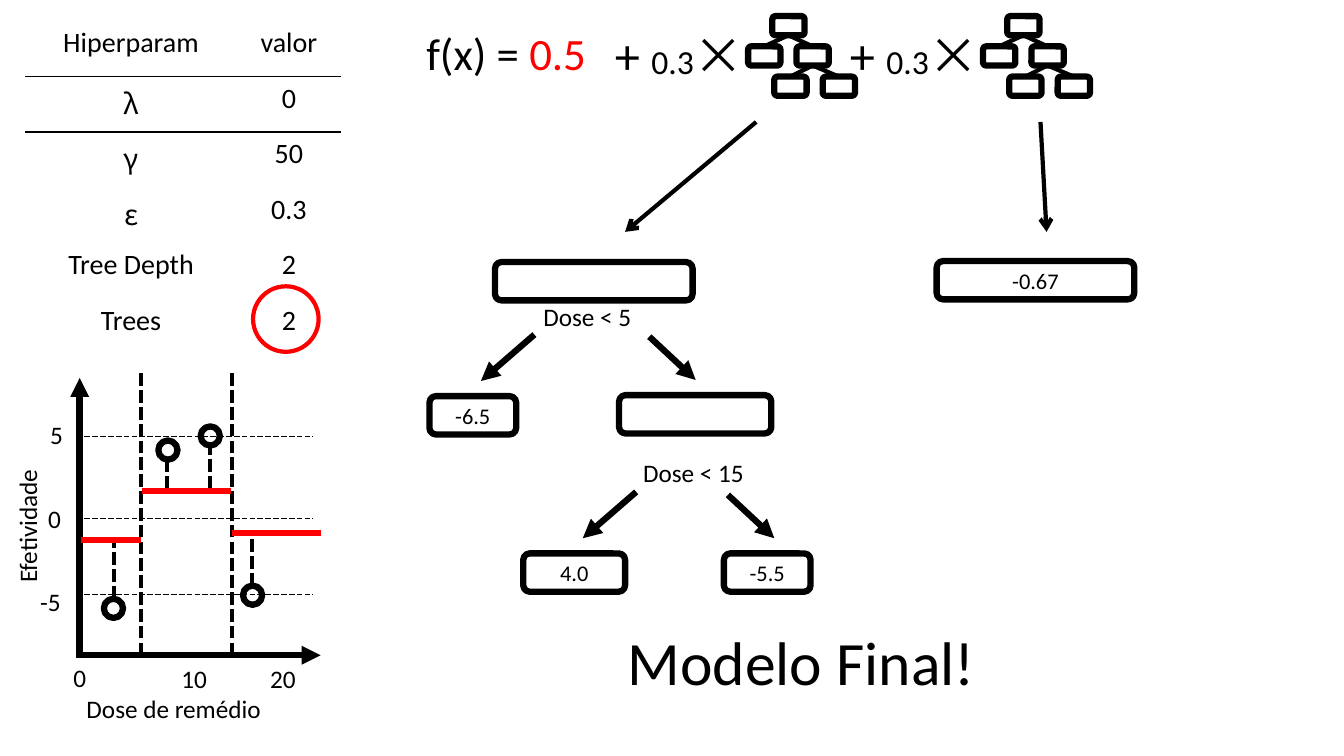
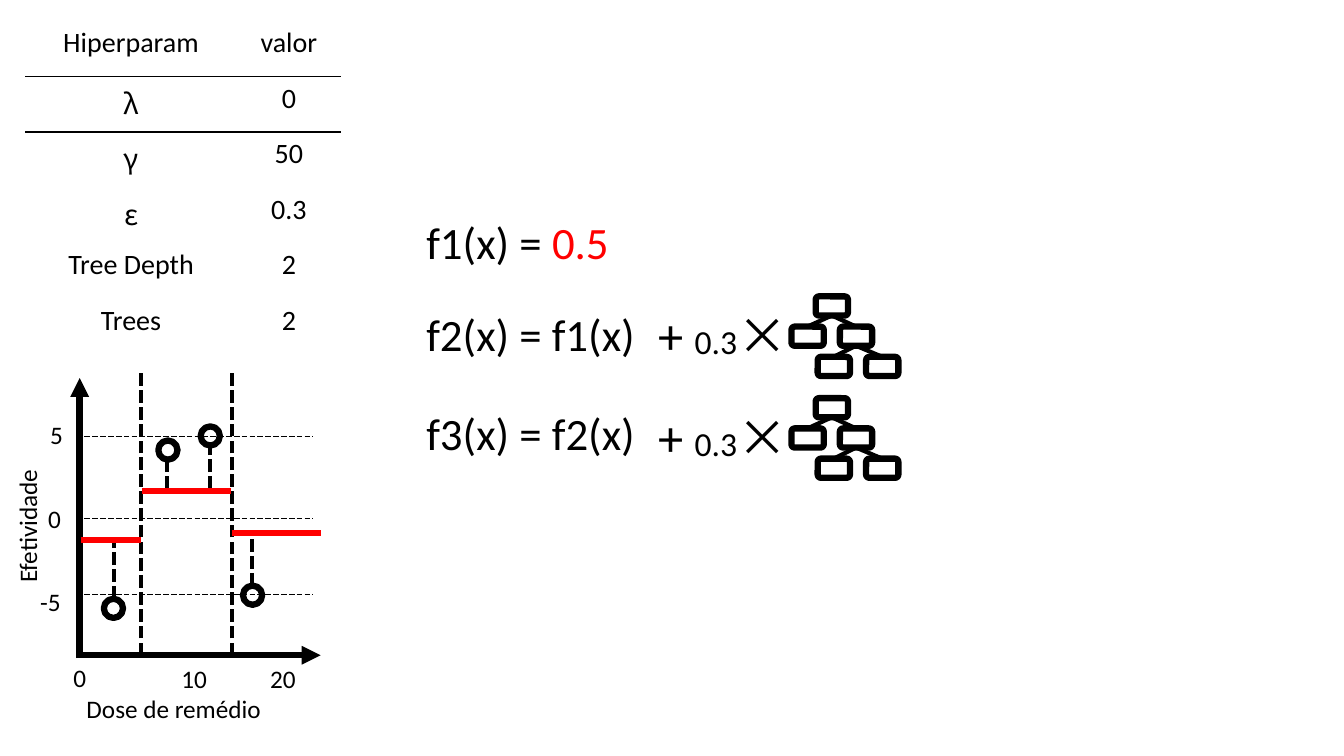
from dataclasses import dataclass

from lxml.etree import SubElement
from pptx import Presentation
from pptx.dml.color import RGBColor
from pptx.enum.dml import MSO_LINE as Dash
from pptx.enum.shapes import MSO_CONNECTOR as Connector, MSO_SHAPE as Preset
from pptx.enum.text import MSO_ANCHOR as Anchor, MSO_AUTO_SIZE as AutoSize, PP_ALIGN as Align
from pptx.oxml.ns import qn
from pptx.util import Inches, Pt


@dataclass(frozen=True)
class Theme:
    """Colours, fonts, type sizes and line widths shared by the slides."""
    ink: RGBColor = RGBColor(0, 0, 0)
    accent: RGBColor = RGBColor(255, 0, 0)
    paper: RGBColor = RGBColor(255, 255, 255)
    font: str = "Calibri"
    symbol_font: str = "Noto Sans CJK SC"
    headline: int = 44
    operator: int = 36
    formula: int = 32
    factor: int = 24
    table: int = 20
    label: int = 18
    leaf: int = 16
    thick: float = 4.5
    medium: float = 3
    hair: float = 0.5
    plain_table: str = "{2D5ABB26-0587-4C30-8999-92F81FD0307C}"


THEME = Theme()
HYPERPARAMETERS = [("Hiperparam", "valor"), ("λ", "0"), ("γ", "50"), ("ε", "0.3"),
                   ("Tree Depth", "2"), ("Trees", "2")]
COLUMN_WIDTHS = (2.1, 1.03)
ROW_HEIGHT = 0.55

NODE_WIDTH, NODE_HEIGHT = 0.32, 0.19
NODES = [(0.24, 0), (0, 0.3), (0.48, 0.3), (0.26, 0.6), (0.74, 0.6)]
BRANCHES = [(1, 0), (2, 0), (4, 2), (3, 2)]

ORIGIN_X, ORIGIN_Y, AXIS_RIGHT, AXIS_TOP = 0.79, 6.5, 3.18, 3.75
GRID_LEVELS = (4.33, 5.14, 5.9)
SPLITS = (1.4, 2.3)
PREDICTIONS = [(0.8, 1.4, 5.36), (1.41, 2.29, 4.87), (2.3, 3.18, 5.29)]
MARKER = 0.19
POINTS = [(1.03, 5.94), (1.57, 4.37), (1.99, 4.23), (2.41, 5.81)]
RESIDUALS = [(1.13, 5.94, 5.34), (1.66, 4.85, 4.56), (2.08, 4.85, 4.43), (2.5, 5.81, 5.3)]
AXIS_LABELS = [("5", 0.4, 4.11), ("0", 0.38, 4.94), ("-5", 0.3, 5.77),
               ("0", 0.63, 6.52), ("10", 1.7, 6.53), ("20", 2.58, 6.53)]


def add_run(paragraph, text, size, color=THEME.ink, font=THEME.font):
    """Append one formatted run to a paragraph."""
    run = paragraph.add_run()
    run.text = text
    run.font.size = Pt(size)
    run.font.name = font
    run.font.color.rgb = color
    if font == THEME.symbol_font:
        SubElement(run.font._element, qn("a:ea")).set("typeface", font)


def add_text(slide, box, runs, wrap=False, align=Align.LEFT):
    """Add a text box whose runs are argument tuples for add_run."""
    shape = slide.shapes.add_textbox(*map(Inches, box))
    frame = shape.text_frame
    frame.word_wrap = wrap
    frame.auto_size = AutoSize.SHAPE_TO_FIT_TEXT
    paragraph = frame.paragraphs[0]
    paragraph.alignment = align
    for run in runs:
        add_run(paragraph, *run)
    return shape


def add_outline(shapes, preset, box, color=THEME.ink, width=THEME.thick, fill=None):
    """Add an outlined preset shape, hollow unless a fill is given."""
    shape = shapes.add_shape(preset, *map(Inches, box))
    shape.shadow.inherit = False
    if fill is None:
        shape.fill.background()
    else:
        shape.fill.solid()
        shape.fill.fore_color.rgb = fill
    shape.line.color.rgb = color
    shape.line.width = Pt(width)
    return shape


def add_line(shapes, start, end, width=THEME.medium, color=THEME.ink, dash=None, head=None):
    """Add a straight connector with an optional dash and end arrowhead."""
    connector = shapes.add_connector(Connector.STRAIGHT, *map(Inches, (*start, *end)))
    connector.line.color.rgb = color
    connector.line.width = Pt(width)
    if dash is not None:
        connector.line.dash_style = dash
    if head:
        SubElement(connector.line._get_or_add_ln(), qn("a:tailEnd")).set("type", head)
    SubElement(connector._element.spPr, qn("a:effectLst"))


def add_cell_border(cell, side):
    """Draw a one-point border on one side of a table cell."""
    properties = cell._tc.get_or_add_tcPr()
    border = SubElement(properties, qn(f"a:{side}"), w=str(Pt(1)))
    fill = SubElement(border, qn("a:solidFill"))
    SubElement(fill, qn("a:srgbClr"), val=str(THEME.ink))
    properties.insert(0, border)


def add_hyperparameter_table(slide):
    """Add the table of hyperparameters with a ruled header."""
    size = (sum(COLUMN_WIDTHS), ROW_HEIGHT * len(HYPERPARAMETERS))
    table = slide.shapes.add_table(len(HYPERPARAMETERS), len(COLUMN_WIDTHS),
                                   *map(Inches, (0.25, 0.21, *size))).table
    table.first_row = table.horz_banding = False
    table._tbl.tblPr.find(qn("a:tableStyleId")).text = THEME.plain_table
    for column, width in zip(table.columns, COLUMN_WIDTHS):
        column.width = Inches(width)
    for row_index, row in enumerate(HYPERPARAMETERS):
        for column_index, text in enumerate(row):
            cell = table.cell(row_index, column_index)
            cell.fill.background()
            paragraph = cell.text_frame.paragraphs[0]
            paragraph.alignment = Align.CENTER
            font = THEME.symbol_font if text in "λγε" else THEME.font
            add_run(paragraph, text, THEME.table, font=font)
            if row_index < 2:
                add_cell_border(cell, ("lnB", "lnT")[row_index])


def add_effect_plot(slide):
    """Add the plot of dose against effect with its step predictions."""
    shapes = slide.shapes
    for start, end in [((ORIGIN_X, ORIGIN_Y + 0.03), (ORIGIN_X, AXIS_TOP)),
                       ((ORIGIN_X, ORIGIN_Y), (AXIS_RIGHT, ORIGIN_Y))]:
        add_line(shapes, start, end, THEME.thick, head="triangle")
    for level in GRID_LEVELS:
        add_line(shapes, (0.76, level), (3.1, level), THEME.hair, dash=Dash.LONG_DASH)
    for x, start, end in RESIDUALS + [(split, ORIGIN_Y, 3.68) for split in SPLITS]:
        add_line(shapes, (x, start), (x, end), dash=Dash.SQUARE_DOT)
    for left, top in POINTS:
        add_outline(shapes, Preset.OVAL, (left, top, MARKER, MARKER))
    for left, right, level in PREDICTIONS:
        add_line(shapes, (left, level), (right, level), THEME.thick, THEME.accent)
    for text, left, top in AXIS_LABELS:
        add_text(slide, (left, top, 0.53, 0.4), [(text, THEME.label)], wrap=True)
    add_text(slide, (0.76, 6.83, 2.27, 0.4), [("Dose de remédio", THEME.label)])
    title = add_text(slide, (-0.52, 4.89, 1.58, 0.4), [("Efetividade", THEME.label)])
    title.rotation = 270


def add_tree_icon(slide, left, top):
    """Add a grouped miniature of a decision tree."""
    shapes = slide.shapes.add_group_shape().shapes
    for x, y in NODES:
        add_outline(shapes, Preset.ROUNDED_RECTANGLE,
                    (left + x, top + y, NODE_WIDTH, NODE_HEIGHT), fill=THEME.paper)
    middle = left + NODE_WIDTH / 2
    for child, parent in BRANCHES:
        child_x, child_y = NODES[child]
        parent_x, parent_y = NODES[parent]
        add_line(shapes, (middle + child_x, top + child_y),
                 (middle + parent_x, top + parent_y + NODE_HEIGHT))


def add_tree_term(slide, left, top):
    """Add a scaled tree term of the boosted sum."""
    add_tree_icon(slide, left + 1.42, top - 0.03)
    add_text(slide, (left, top, 1.83, 0.71),
             [("+ ", THEME.operator), ("0.3", THEME.factor),
              ("×", THEME.operator, THEME.ink, THEME.symbol_font)], wrap=True)


def add_formula(slide, top, width, text, constant=None):
    """Add the left part of a formula, with its constant in the accent colour."""
    runs = [(text, THEME.formula)]
    if constant:
        runs.append((constant, THEME.formula, THEME.accent))
    add_text(slide, (4.13, top, width, 0.64), runs)


def add_tree_box(slide, left, top, width, value=None):
    """Add a node of the large trees, with its value when it is a leaf."""
    shape = add_outline(slide.shapes, Preset.ROUNDED_RECTANGLE, (left, top, width, 0.38))
    if value:
        shape.text_frame.vertical_anchor = Anchor.MIDDLE
        paragraph = shape.text_frame.paragraphs[0]
        paragraph.alignment = Align.CENTER
        add_run(paragraph, value, THEME.leaf)


def add_large_trees(slide):
    """Add the two fitted trees and the arrows that lead to them."""
    for box in [(4.91, 2.6, 1.96), (4.26, 3.93, 0.86, "-6.5"), (6.14, 3.92, 1.51),
                (5.19, 5.49, 1.01, "4.0"), (7.18, 5.49, 0.86, "-5.5"),
                (9.29, 2.59, 1.96, "-0.67")]:
        add_tree_box(slide, *box)
    for text, left, top, width in [("Dose < 5", 5.29, 2.94, 1.18),
                                   ("Dose < 15", 6.28, 4.49, 1.31)]:
        add_text(slide, (left, top, width, 0.4), [(text, THEME.label)])
    for x, y in [(5.3, 3.32), (6.31, 4.88)]:
        add_line(slide.shapes, (x, y), (x - 0.53, y + 0.46), THEME.thick, head="triangle")
    for x, y in [(6.44, 3.34), (7.22, 4.91)]:
        add_line(slide.shapes, (x, y), (x + 0.46, y + 0.43), THEME.thick, head="triangle")
    for start, end in [((7.5, 1.21), (6.2, 2.3)), ((10.32, 1.21), (10.38, 2.3))]:
        add_line(slide.shapes, start, end, head="arrow")


def add_model_slide(presentation):
    """Add a blank slide with the table and plot that every slide shows."""
    slide = presentation.slides.add_slide(presentation.slide_layouts[6])
    add_hyperparameter_table(slide)
    add_effect_plot(slide)
    return slide


def main():
    """Build and save the presentation."""
    presentation = Presentation()
    presentation.slide_width, presentation.slide_height = Inches(13.33), Inches(7.5)

    slide = add_model_slide(presentation)
    add_formula(slide, 0.21, 1.96, "f(x) = ", "0.5")
    for left in (6, 8.33):
        add_tree_term(slide, left, 0.19)
    add_large_trees(slide)
    add_text(slide, (5.75, 6.14, 4.4, 0.84), [("Modelo Final!", THEME.headline)],
             align=Align.CENTER)
    add_outline(slide.shapes, Preset.OVAL, (2.51, 2.84, 0.65, 0.65),
                THEME.accent, THEME.medium)

    slide = add_model_slide(presentation)
    add_formula(slide, 2.08, 2.14, "f1(x) = ", "0.5")
    for text, top, width, term_top in [("f2(x) = f1(x)", 2.99, 2.46, 2.97),
                                       ("f3(x) = f2(x)", 3.98, 2.52, 3.98)]:
        add_formula(slide, top, width, text)
        add_tree_term(slide, 6.43, term_top)

    presentation.save("out.pptx")


if __name__ == "__main__":
    main()
